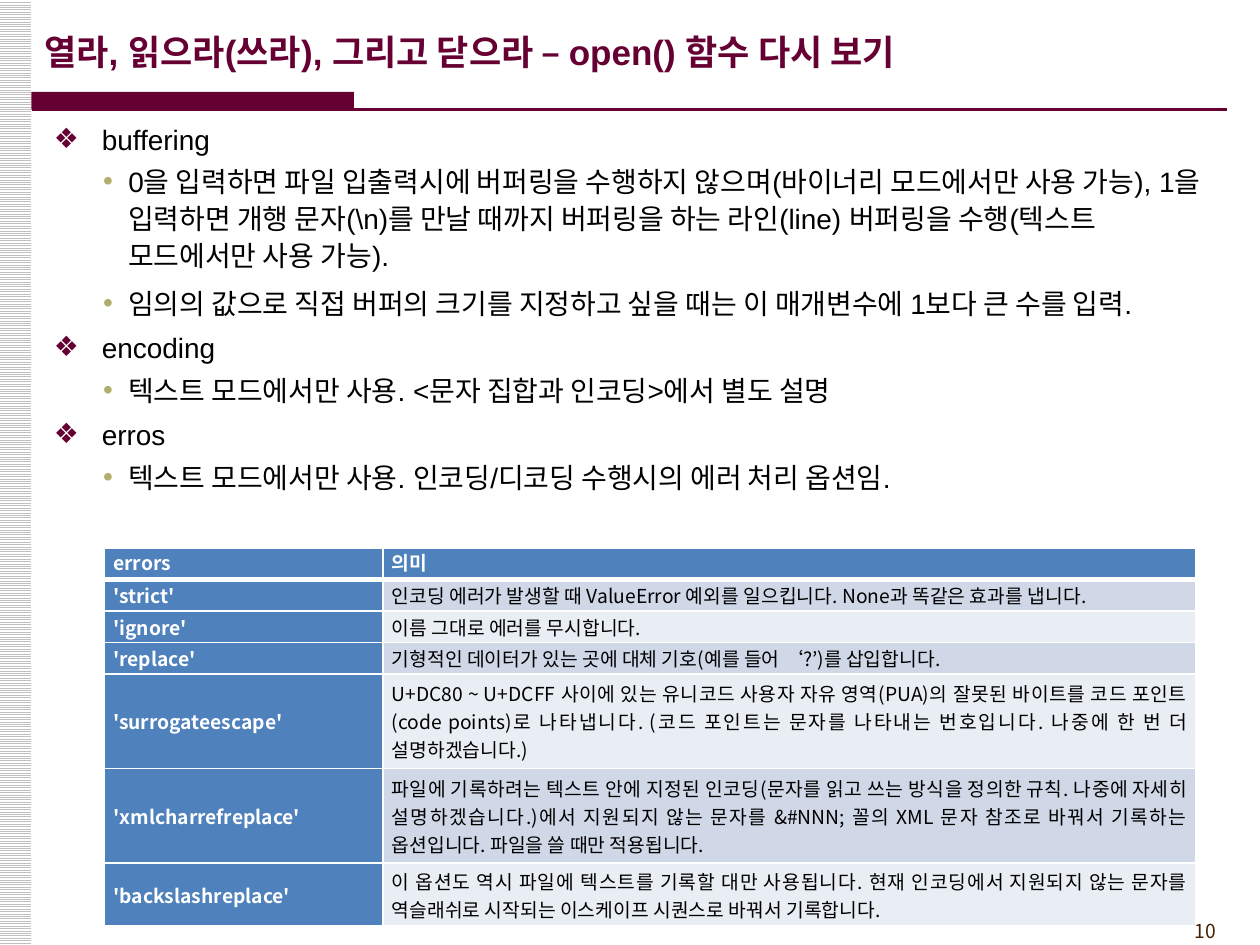
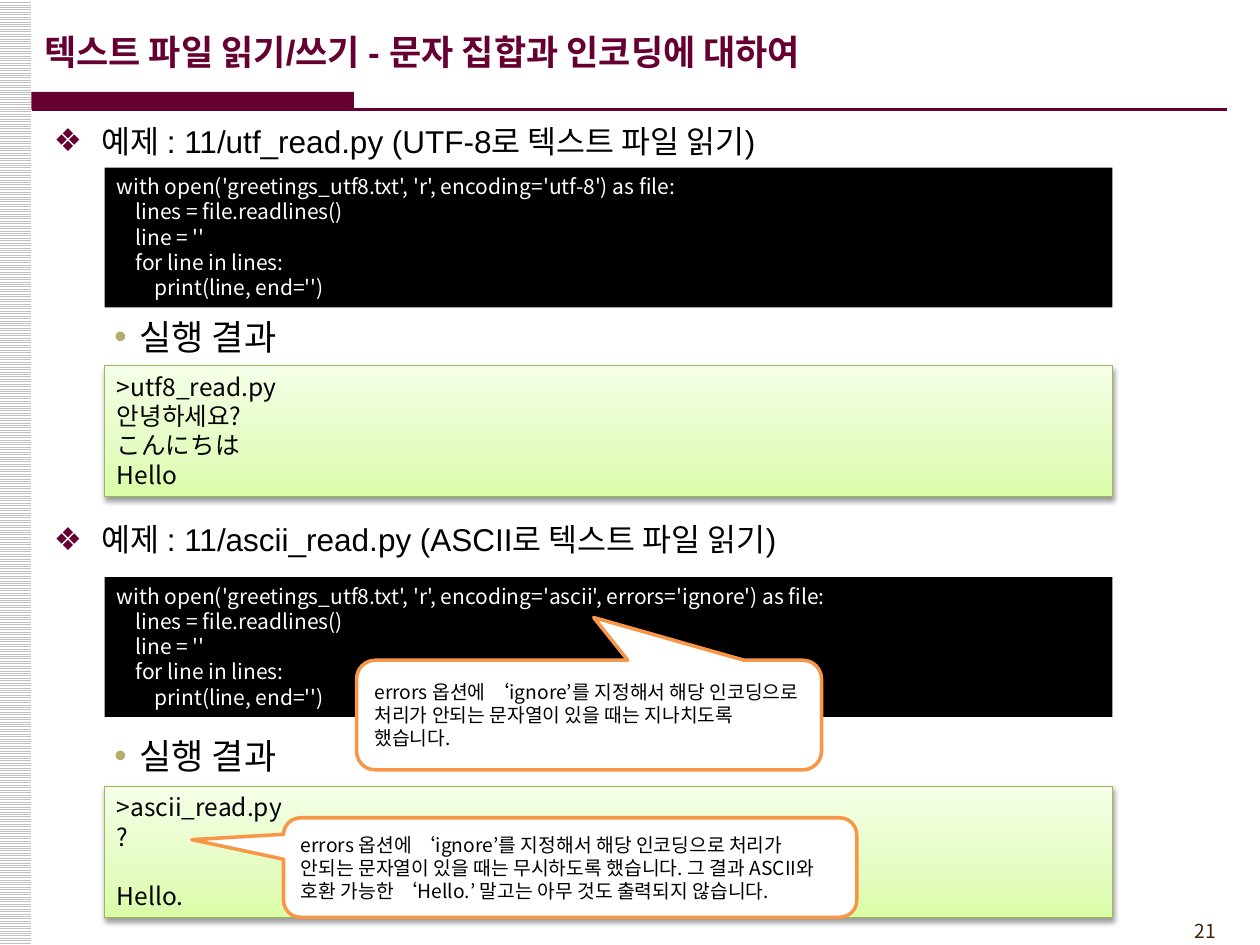
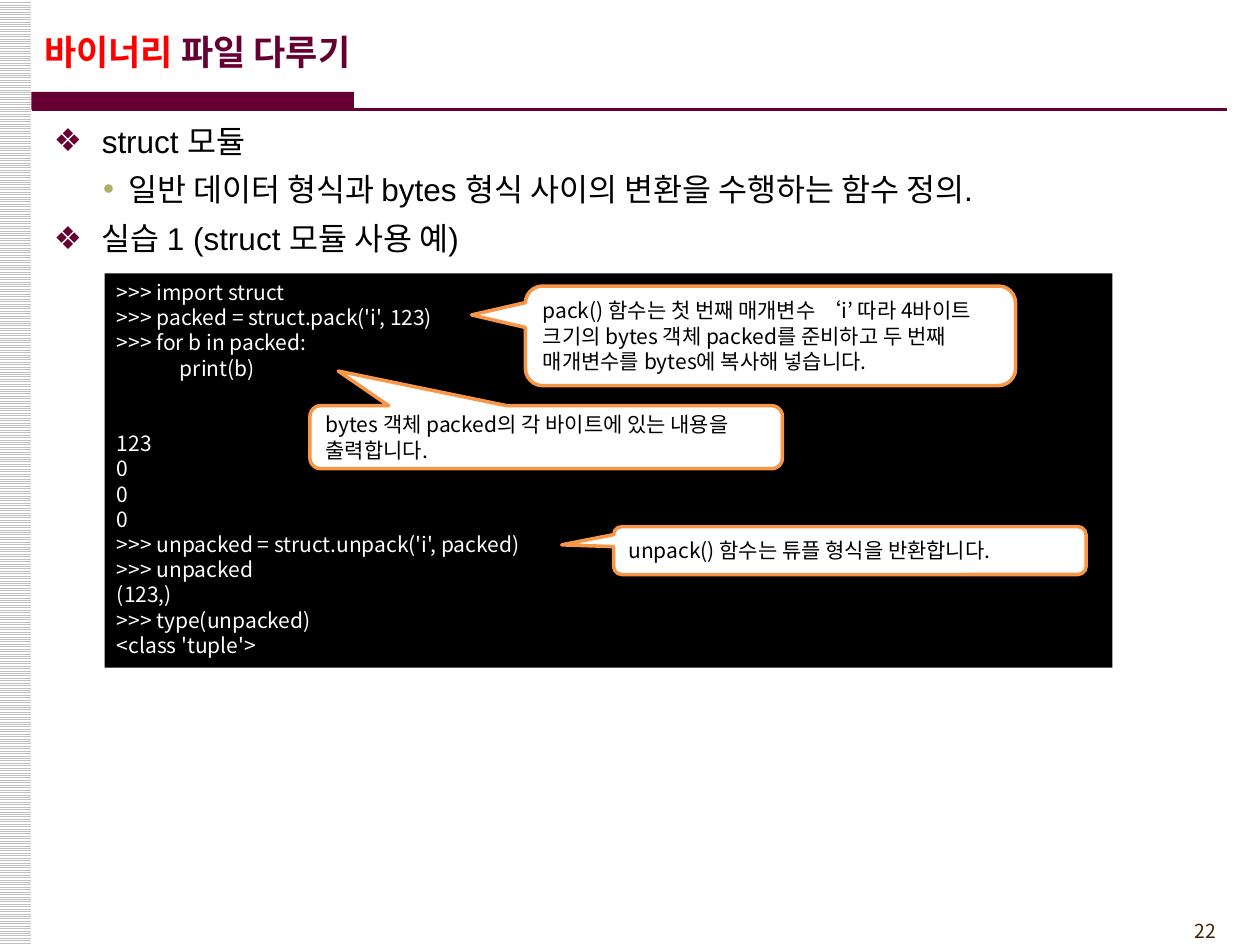
from dataclasses import dataclass
from functools import partial

from lxml import etree
from pptx import Presentation
from pptx import util as u
from pptx.dml.color import RGBColor
from pptx.enum import dml, shapes, text
from pptx.oxml.ns import qn

I = u.Inches
SHAPE = shapes.MSO_SHAPE
ANCHOR = text.MSO_ANCHOR
ALIGN = text.PP_ALIGN


@dataclass(frozen=True)
class Theme:
    latin: str = "Arial"
    korean: str = "Noto Sans CJK KR"
    maroon: str = "660033"
    khaki: str = "B1AE6B"
    red: str = "FF0000"
    black: str = "000000"
    white: str = "FFFFFF"
    gray: str = "C0C0C0"
    number: str = "452103"
    orange: str = "F79646"
    green_line: str = "98B955"
    green_stops: tuple = ((0, "DAFDA7"), (35, "E4FCC2"), (100, "F5FFE7"))
    table_head: str = "4F81BD"
    table_bands: tuple = ("D0D8E8", "E9EDF4")
    title_size: int = 20
    heading_size: int = 18
    output_size: int = 14
    code_size: int = 12
    small_size: int = 11
    leading: float = 1.2


T = Theme()


def rgb(value):
    return RGBColor.from_string(value)


def child(parent, tag, **attrs):
    return etree.SubElement(parent, qn(tag), {k: str(v) for k, v in attrs.items()})


def write(tf, content, size, color=T.black, font=T.korean, bold=False, align=None,
          before=0, after=0, spacing=None, bullet=None, indent=None):
    first = not tf.paragraphs[0].runs
    p = tf.paragraphs[0] if first else tf.add_paragraph()
    if bullet:
        char, bullet_color, level = bullet
        p.level = level
        pPr = p._p.get_or_add_pPr()
        left, hanging = indent
        pPr.set("marL", str(I(left)))
        pPr.set("indent", str(-I(hanging)))
        child(child(pPr, "a:buClr"), "a:srgbClr", val=bullet_color)
        child(pPr, "a:buFont", typeface=T.latin)
        child(pPr, "a:buChar", char=char)
    if align is not None:
        p.alignment = align
    if spacing:
        p.line_spacing = u.Pt(round(size * spacing, 1))
    if before and not first:
        p.space_before = u.Pt(before)
    if after:
        p.space_after = u.Pt(after)
    parts = [(content, color)] if isinstance(content, str) else content
    for part, part_color in parts:
        r = p.add_run()
        r.text = part
        r.font.size, r.font.bold, r.font.name = u.Pt(size), bold, font
        r.font.color.rgb = rgb(part_color)
        child(r._r.get_or_add_rPr(), "a:ea", typeface=T.korean)


def frame(sp, anchor=ANCHOR.TOP, inset_y=0.05, inset_x=0.1):
    tf = sp.text_frame
    tf.word_wrap = True
    tf.vertical_anchor = anchor
    tf.margin_left = tf.margin_right = I(inset_x)
    tf.margin_top = tf.margin_bottom = I(inset_y)
    return tf


def text_box(s, box):
    return frame(s.shapes.add_textbox(*map(I, box)))


def block(s, box, fill=None, line=None, width=0.75, kind=SHAPE.RECTANGLE):
    sp = s.shapes.add_shape(kind, *map(I, box))
    sp.shadow.inherit = False
    if fill:
        sp.fill.solid()
        sp.fill.fore_color.rgb = rgb(fill)
    if line:
        sp.line.color.rgb = rgb(line)
        sp.line.width = u.Pt(width)
    else:
        sp.line.fill.background()
    return sp


def heading(tf, content, size):
    write(tf, content, size, font=T.latin, before=size * 0.2, spacing=T.leading,
          bullet=("❖", T.maroon, 0), indent=(0.38, 0.38))


def point(tf, content, size, font=T.latin):
    write(tf, content, size, font=font, before=size * 0.2, after=3,
          spacing=T.leading * 1.1, bullet=("•", T.khaki, 1), indent=(0.59, 0.2))


def outline(s, box, items, size):
    tf = text_box(s, box)
    for style, content in items:
        style(tf, content, size)


def lines_in(sp, lines, size, color):
    tf = frame(sp)
    gap = 0
    for line in lines:
        if line:
            write(tf, line, size, color, align=ALIGN.LEFT, before=gap, spacing=T.leading)
            gap = 0
        else:
            gap += size * T.leading


def code_box(s, box, lines):
    lines_in(block(s, box, T.black), lines, T.code_size, T.white)


def output_box(s, box, lines):
    sp = block(s, box, line=T.green_line)
    sp.fill.gradient()
    sp.fill.gradient_angle = 90
    stops = sp._element.spPr.find(".//" + qn("a:gsLst"))
    for stop in list(stops):
        stops.remove(stop)
    for pos, color in T.green_stops:
        child(child(stops, "a:gs", pos=pos * 1000), "a:srgbClr", val=color)
    shadow = child(sp._element.spPr.find(qn("a:effectLst")), "a:outerShdw",
                   blurRad=u.Pt(3.1), dist=u.Pt(1.6), dir=90 * 60000, rotWithShape=0)
    child(child(shadow, "a:srgbClr", val=T.black), "a:alpha", val=38000)
    lines_in(sp, lines, T.output_size, T.black)


def callout(s, box, tip, content, size):
    sp = block(s, box, T.white, T.orange, 2, SHAPE.ROUNDED_RECTANGULAR_CALLOUT)
    for i, value in enumerate((*tip, 0.17)):
        sp.adjustments[i] = value
    write(frame(sp, ANCHOR.MIDDLE, 0), content, size, align=ALIGN.LEFT,
          spacing=T.leading)


def base_slide(prs, title, number):
    s = prs.slides.add_slide(prs.slide_layouts[5])
    strip = block(s, (-0.01, 0, 0.26, 7.5))
    strip.fill.patterned()
    strip.fill.pattern = dml.MSO_PATTERN.LIGHT_HORIZONTAL
    strip.fill.fore_color.rgb = rgb(T.gray)
    strip.fill.back_color.rgb = rgb(T.white)
    write(text_box(s, (8.92, 7.25, 0.83, 0.29)), str(number), T.small_size, T.number,
          align=ALIGN.RIGHT, spacing=T.leading)
    block(s, (0.25, 0.73, 2.56, 0.14), T.maroon)
    rule = s.shapes.add_connector(shapes.MSO_CONNECTOR.STRAIGHT,
                                  *map(I, (0.25, 0.87, 9.74, 0.87)))
    rule.line.color.rgb = rgb(T.maroon)
    rule.line.width = u.Pt(1.5)
    child(rule._element.spPr, "a:effectLst")
    sp = s.shapes.title
    sp.left, sp.top, sp.width, sp.height = map(I, (0.25, 0.09, 8.27, 0.63))
    write(frame(sp, ANCHOR.MIDDLE), title, T.title_size, T.maroon, T.latin, True,
          ALIGN.LEFT)
    return s


def cell_border(cell, bottom):
    tcPr = cell._tc.get_or_add_tcPr()
    for i, (side, width) in enumerate((("L", 1), ("R", 1), ("T", 1), ("B", bottom))):
        ln = etree.Element(qn(f"a:ln{side}"), w=str(u.Pt(width)))
        child(child(ln, "a:solidFill"), "a:srgbClr", val=T.white)
        tcPr.insert(i, ln)


def errors_table(s, box, rows, widths, heights):
    table = s.shapes.add_table(len(rows), len(widths), *map(I, box)).table
    for column, width in zip(table.columns, widths):
        column.width = I(width)
    for i, (row, height) in enumerate(zip(rows, heights)):
        table.rows[i].height = I(height)
        for j, content in enumerate(row):
            cell = table.cell(i, j)
            strong = i == 0 or j == 0
            cell.margin_left = cell.margin_right = I(0.07)
            cell.margin_top = cell.margin_bottom = 0
            cell.vertical_anchor = ANCHOR.MIDDLE if i else ANCHOR.TOP
            cell.fill.solid()
            cell.fill.fore_color.rgb = rgb(
                T.table_head if strong else T.table_bands[(i - 1) % 2])
            cell_border(cell, 1 if i else 3)
            write(cell.text_frame, content, T.small_size,
                  T.white if strong else T.black, bold=strong, align=ALIGN.JUSTIFY)


def open_function_slide(prs):
    s = base_slide(prs, "열라, 읽으라(쓰라), 그리고 닫으라 – open() 함수 다시 보기", 10)
    outline(s, (0.33, 0.92, 9.5, 3.3), [
        (heading, "buffering"),
        (point, "0을 입력하면 파일 입출력시에 버퍼링을 수행하지 않으며(바이너리 모드에서만 사용 가능), "
                "1을 입력하면 개행 문자(\\n)를 만날 때까지 버퍼링을 하는 라인(line) 버퍼링을 "
                "수행(텍스트 모드에서만 사용 가능)."),
        (point, "임의의 값으로 직접 버퍼의 크기를 지정하고 싶을 때는 이 매개변수에 1보다 큰 수를 입력."),
        (heading, "encoding"),
        (point, "텍스트 모드에서만 사용. <문자 집합과 인코딩>에서 별도 설명"),
        (heading, "erros"),
        (point, "텍스트 모드에서만 사용. 인코딩/디코딩 수행시의 에러 처리 옵션임."),
    ], 16)
    errors_table(s, (0.83, 4.35, 8.66, 3), [
        ("errors", "의미"),
        ("'strict'", "인코딩 에러가 발생할 때 ValueError 예외를 일으킵니다. None과 똑같은 효과를 냅니다."),
        ("'ignore'", "이름 그대로 에러를 무시합니다."),
        ("'replace'", "기형적인 데이터가 있는 곳에 대체 기호(예를 들어 ‘?’)를 삽입합니다."),
        ("'surrogateescape'",
         "U+DC80 ~ U+DCFF 사이에 있는 유니코드 사용자 자유 영역(PUA)의 잘못된 바이트를 코드 "
         "포인트(code points)로 나타냅니다. (코드 포인트는 문자를 나타내는 번호입니다. "
         "나중에 한 번 더 설명하겠습니다.)"),
        ("'xmlcharrefreplace'",
         "파일에 기록하려는 텍스트 안에 지정된 인코딩(문자를 읽고 쓰는 방식을 정의한 규칙. 나중에 "
         "자세히 설명하겠습니다.)에서 지원되지 않는 문자를 &#NNN; 꼴의 XML 문자 참조로 바꿔서 "
         "기록하는 옵션입니다. 파일을 쓸 때만 적용됩니다."),
        ("'backslashreplace'",
         "이 옵션도 역시 파일에 텍스트를 기록할 대만 사용됩니다. 현재 인코딩에서 지원되지 않는 문자를 "
         "역슬래쉬로 시작되는 이스케이프 시퀀스로 바꿔서 기록합니다."),
    ], (2.21, 6.45), (0.25,) * 4 + (0.75, 0.75, 0.5))


def read_example(s, tops, title, arguments, output):
    title_top, code_top, result_top, output_top = tops
    outline(s, (0.33, title_top, 9.5, 0.4), [(heading, title)], T.heading_size)
    code_box(s, (0.83, code_top, 8, 1.11), [
        f"with open('greetings_utf8.txt', 'r', {arguments}) as file:",
        "    lines = file.readlines()",
        "    line = ''",
        "    for line in lines:",
        "        print(line, end='')",
    ])
    outline(s, (0.42, result_top, 2.42, 0.39),
            [(partial(point, font=T.korean), "실행 결과")], 20)
    output_box(s, (0.83, output_top, 8, 1.04), output)


def encoding_slide(prs):
    s = base_slide(prs, "텍스트 파일 읽기/쓰기 - 문자 집합과 인코딩에 대하여", 21)
    read_example(s, (0.92, 1.33, 2.42, 2.9),
                 "예제 : 11/utf_read.py (UTF-8로 텍스트 파일 읽기)",
                 "encoding='utf-8'",
                 [">utf8_read.py", "안녕하세요?", "こんにちは", "Hello"])
    read_example(s, (4.08, 4.58, 5.75, 6.24),
                 "예제 : 11/ascii_read.py (ASCII로 텍스트 파일 읽기)",
                 "encoding='ascii', errors='ignore'",
                 [">ascii_read.py", "?", "", "Hello."])
    reason = "errors 옵션에 ‘ignore’를 지정해서 해당 인코딩으로 처리가 안되는 문자열이 있을 때는 "
    callout(s, (2.83, 5.24, 3.69, 0.87), (0.01, -0.89),
            reason + "지나치도록 했습니다.", T.small_size)
    callout(s, (2.25, 6.49, 4.55, 0.79), (-0.66, -0.28),
            reason + "무시하도록 했습니다. 그 결과 ASCII와 호환 가능한 ‘Hello.’ 말고는 "
            "아무 것도 출력되지 않습니다.", T.small_size)


def struct_slide(prs):
    s = base_slide(prs, [("바이너리", T.red), (" 파일 다루기", T.maroon)], 22)
    outline(s, (0.33, 0.92, 9.5, 1.2), [
        (heading, "struct 모듈"),
        (point, "일반 데이터 형식과 bytes 형식 사이의 변환을 수행하는 함수 정의."),
        (heading, "실습 1 (struct 모듈 사용 예)"),
    ], T.heading_size)
    code_box(s, (0.83, 2.17, 8, 3.13), [
        ">>> import struct",
        ">>> packed = struct.pack('i', 123)",
        ">>> for b in packed:",
        "\tprint(b)",
        "",
        "",
        "123",
        "0",
        "0",
        "0",
        ">>> unpacked = struct.unpack('i', packed)",
        ">>> unpacked",
        "(123,)",
        ">>> type(unpacked)",
        "<class 'tuple'>",
    ])
    for box, tip, content in (
        ((4.17, 2.27, 3.89, 0.79), (-0.61, -0.21),
         "pack() 함수는 첫 번째 매개변수 ‘i’ 따라 4바이트 크기의 bytes 객체 packed를 준비하고 "
         "두 번째 매개변수를 bytes에 복사해 넣습니다."),
        ((2.46, 3.22, 3.75, 0.5), (-0.44, -1.05),
         "bytes 객체 packed의 각 바이트에 있는 내용을 출력합니다."),
        ((4.87, 4.18, 3.75, 0.38), (-0.61, -0.12),
         "unpack() 함수는 튜플 형식을 반환합니다."),
    ):
        callout(s, box, tip, content, T.code_size)


def main():
    prs = Presentation()
    prs.slide_width, prs.slide_height = I(10), I(7.5)
    open_function_slide(prs)
    encoding_slide(prs)
    struct_slide(prs)
    prs.save("out.pptx")


if __name__ == "__main__":
    main()
